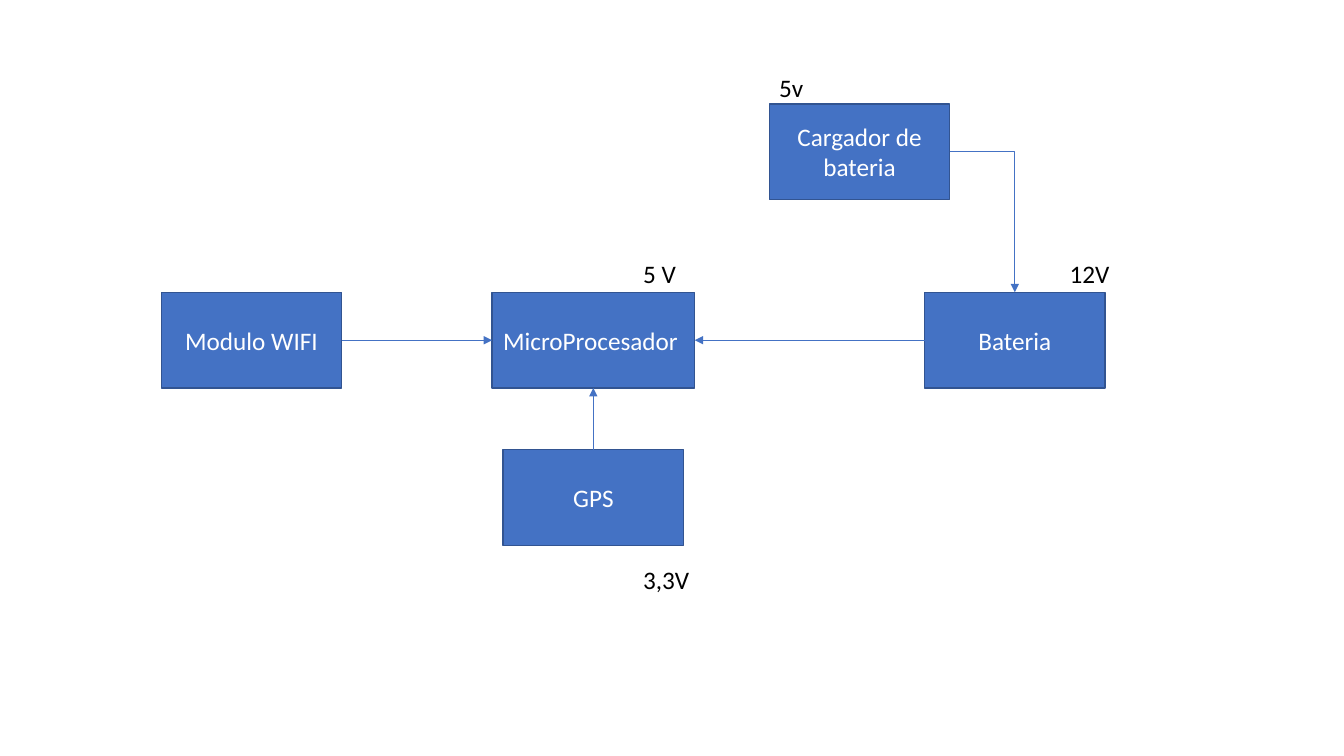
import pptx
import pptx.util
import pptx.dml.color
import pptx.enum.shapes
import pptx.enum.text
import pptx.oxml

Inches, Pt = pptx.util.Inches, pptx.util.Pt
RGB = pptx.dml.color.RGBColor.from_string
CONN = pptx.enum.shapes.MSO_CONNECTOR
COLORS = {"box": "4472C4", "border": "325491", "light": "FFFFFF", "dark": "000000"}
TOP, LEFT, BOTTOM, RIGHT = range(4)

prs = pptx.Presentation()
prs.slide_width, prs.slide_height = Inches(13.33), Inches(7.5)
slide = prs.slides.add_slide(prs.slide_layouts[6])


def write(tf, text, color):
    p = tf.paragraphs[0]
    p.text = text
    p.font.size, p.font.name = Pt(18), "Calibri"
    p.font.color.rgb = RGB(COLORS[color])
    return p


# Blocks: name, text, left, top, width
blocks = {}
for name, text, left, top, width in [
    ("charger", "Cargador de bateria", 7.63, 1.03, 1.79),
    ("battery", "Bateria", 9.17, 2.9, 1.79),
    ("micro", "MicroProcesador ", 4.88, 2.9, 2.01),
    ("wifi", "Modulo WIFI", 1.6, 2.9, 1.79),
    ("gps", "GPS", 4.99, 4.46, 1.79),
]:
    sp = slide.shapes.add_shape(
        pptx.enum.shapes.MSO_SHAPE.RECTANGLE,
        Inches(left), Inches(top), Inches(width), Inches(0.95))
    sp.shadow.inherit = False
    sp.fill.solid()
    sp.fill.fore_color.rgb = RGB(COLORS["box"])
    sp.line.color.rgb = RGB(COLORS["border"])
    sp.line.width = Pt(1)
    tf = sp.text_frame
    tf.word_wrap = True
    tf.vertical_anchor = pptx.enum.text.MSO_ANCHOR.MIDDLE
    write(tf, text, "light").alignment = pptx.enum.text.PP_ALIGN.CENTER
    blocks[name] = sp

# Arrows between the blocks
for start, start_side, end, end_side, kind in [
    ("charger", RIGHT, "battery", TOP, CONN.ELBOW),
    ("battery", LEFT, "micro", RIGHT, CONN.STRAIGHT),
    ("wifi", RIGHT, "micro", LEFT, CONN.ELBOW),
    ("gps", TOP, "micro", BOTTOM, CONN.STRAIGHT),
]:
    cxn = slide.shapes.add_connector(kind, 0, 0, 0, 0)
    cxn.begin_connect(blocks[start], start_side)
    cxn.end_connect(blocks[end], end_side)
    cxn.line.color.rgb = RGB(COLORS["box"])
    cxn.line.width = Pt(0.5)
    spPr = cxn._element.spPr
    if end_side == TOP:  # a single right-angle bend
        spPr.prstGeom.set("prst", "bentConnector2")
    ns = pptx.oxml.ns.nsdecls("a")
    spPr.find(pptx.oxml.ns.qn("a:ln")).append(
        pptx.oxml.parse_xml(f'<a:tailEnd {ns} type="triangle"/>'))
    spPr.append(pptx.oxml.parse_xml(f"<a:effectLst {ns}/>"))

# Voltage labels
for text, left, top, width in [
    ("5v", 7.63, 0.67, 0.66),
    ("5 V", 6.28, 2.51, 0.98),
    ("3,3V", 6.28, 5.55, 0.88),
    ("12V", 10.51, 2.51, 0.79),
]:
    tf = slide.shapes.add_textbox(
        Inches(left), Inches(top), Inches(width), Inches(0.4)).text_frame
    tf.word_wrap = True
    tf.auto_size = pptx.enum.text.MSO_AUTO_SIZE.SHAPE_TO_FIT_TEXT
    write(tf, text, "dark")

prs.save("out.pptx")
